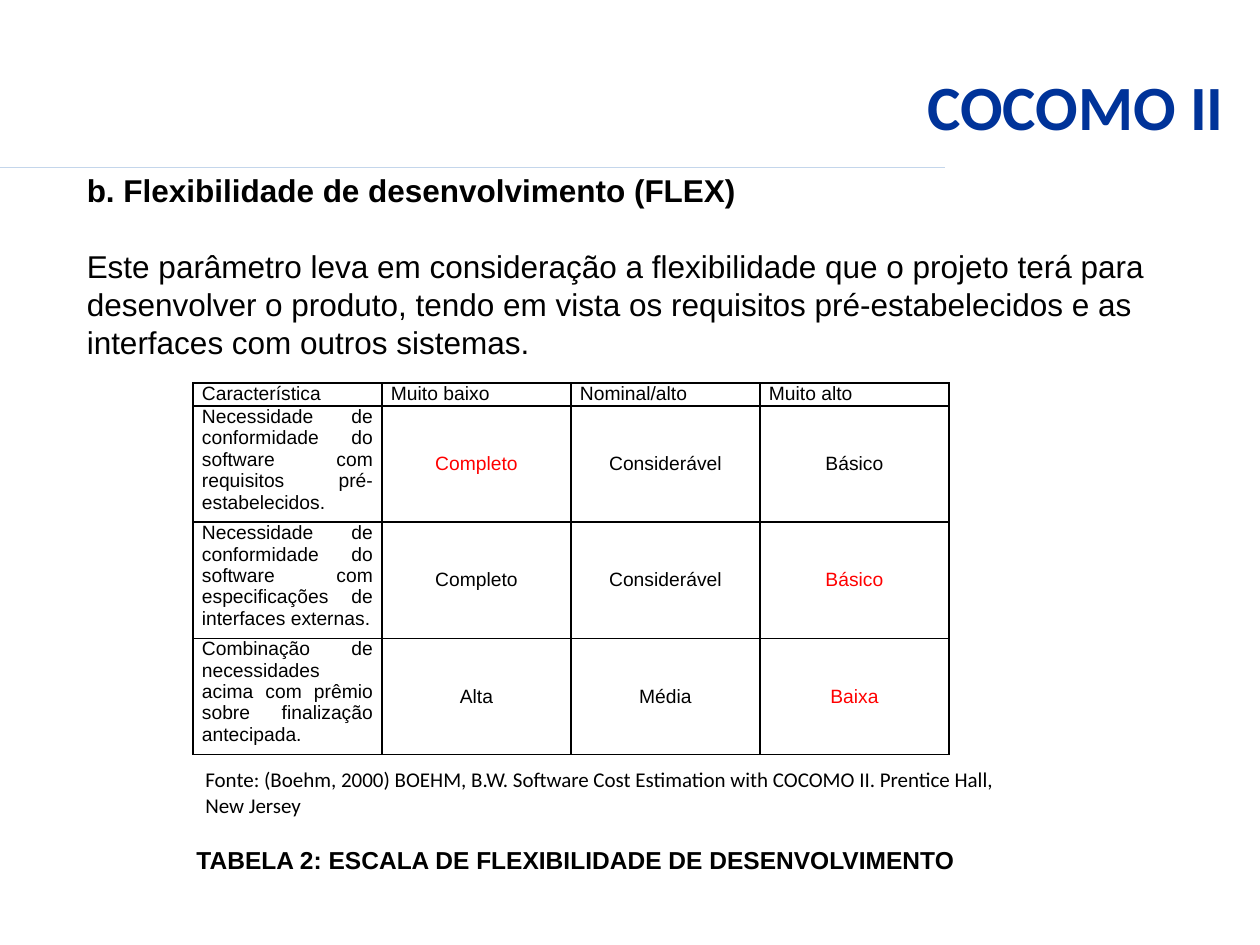
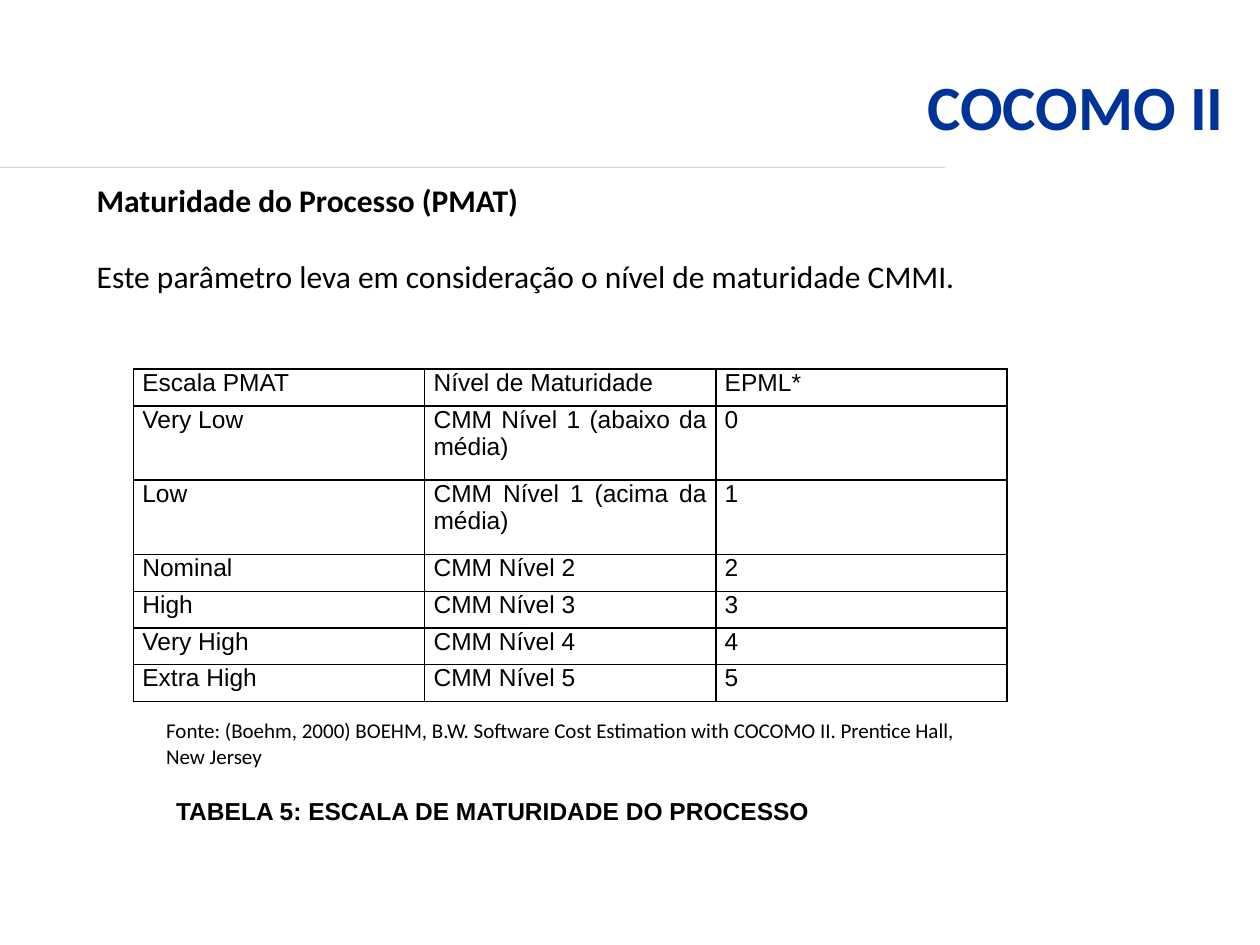
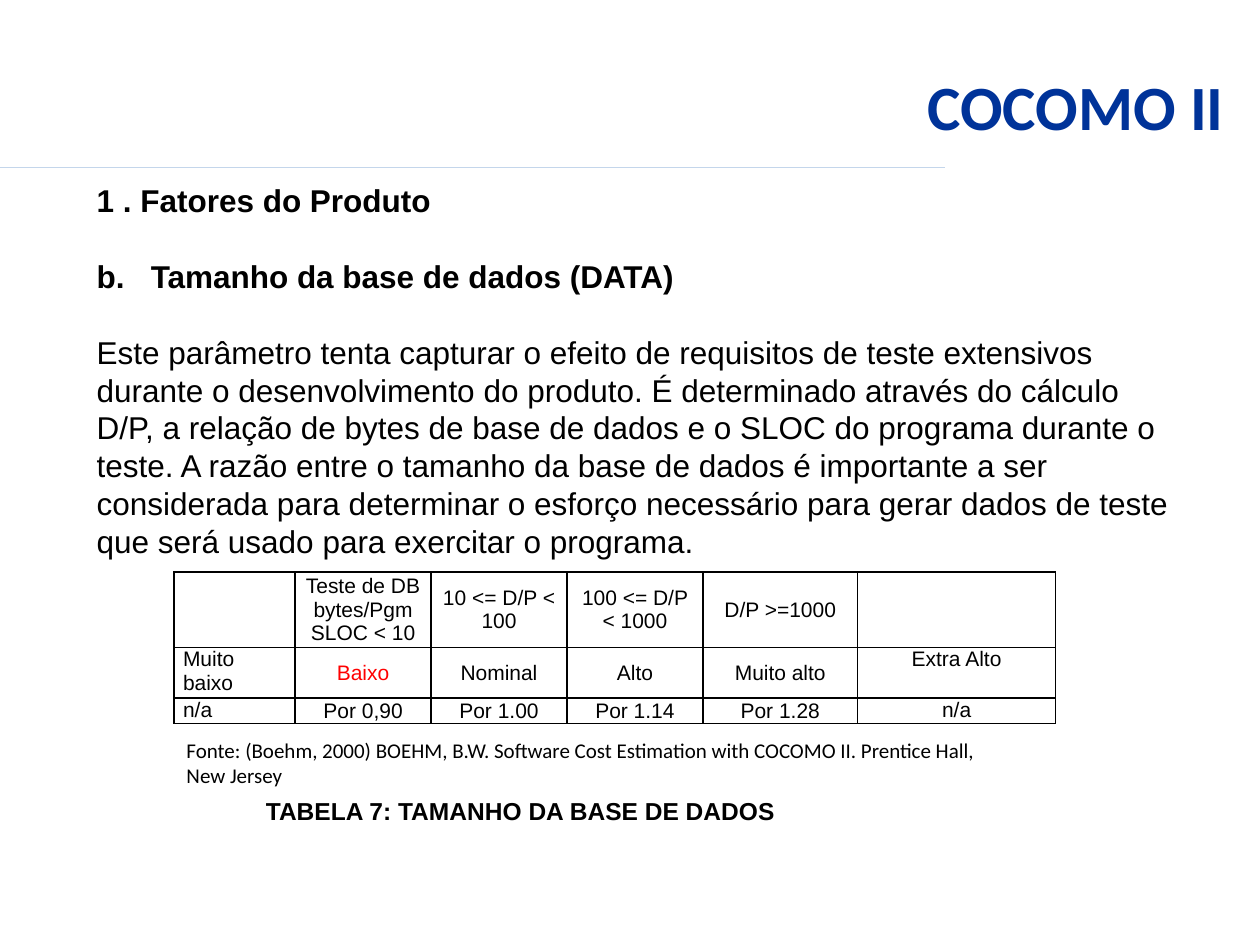
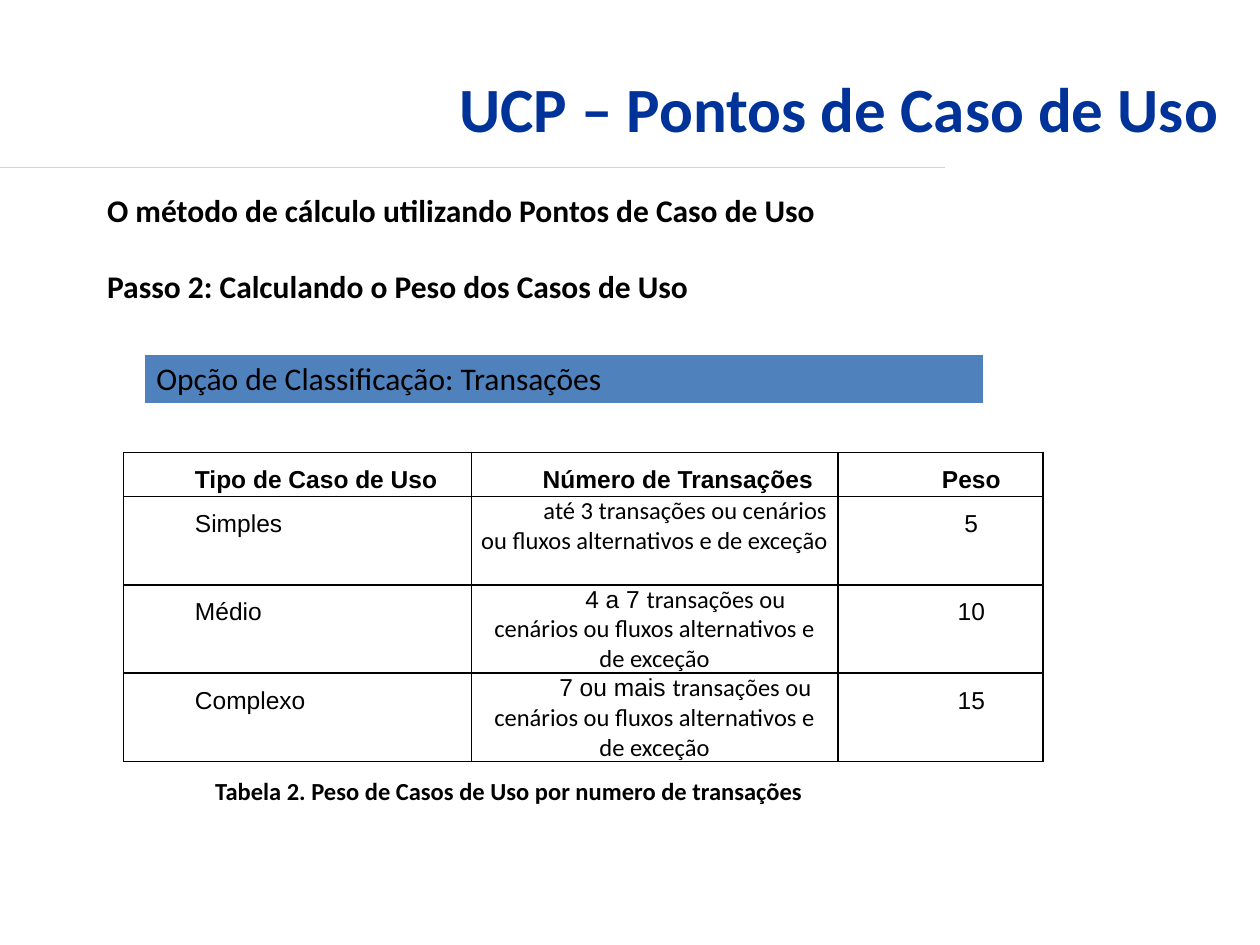
from dataclasses import dataclass
from typing import Optional

import lxml.etree
import pptx
import pptx.dml.color
import pptx.enum.shapes
import pptx.enum.text
import pptx.oxml
import pptx.oxml.ns
import pptx.util

Cm = pptx.util.Cm
Pt = pptx.util.Pt
Align = pptx.enum.text.PP_ALIGN
Anchor = pptx.enum.text.MSO_ANCHOR


@dataclass(frozen=True)
class Theme:
    ink: str = "000000"
    title: str = "003399"
    rule: str = "C4D6EB"
    mark: str = "FF0000"
    band: str = "4F81BD"
    white: str = "FFFFFF"
    sans: str = "Arial"
    human: str = "Calibri"
    title_size: float = 36
    body_size: float = 18
    caption_size: float = 14
    source_size: float = 12
    gap: float = 21.7


THEME = Theme()


@dataclass(frozen=True)
class Area:
    left: float
    top: float
    width: float
    height: float


@dataclass(frozen=True)
class Span:
    text: str
    font: str


@dataclass(frozen=True)
class Para:
    text: str
    size: float
    font: str = THEME.sans
    bold: bool = False
    color: str = THEME.ink
    align: Align = Align.LEFT
    before: float = 0
    hanging: float = 0
    first_indent: float = 0
    line_spacing: Optional[float] = None
    spans: tuple[Span, ...] = ()


@dataclass(frozen=True)
class Cell:
    para: Para
    anchor: Anchor = Anchor.TOP
    fill: Optional[str] = None


@dataclass(frozen=True)
class Border:
    color: str
    width: float


@dataclass(frozen=True)
class Grid:
    left: float
    top: float
    columns: list[float]
    rows: list[float]
    cells: list[list[Cell]]
    inset: tuple[float, float] = (0.18, 0)
    borders: tuple[Border, ...] = (Border(THEME.ink, 1),) * 4


TITLE_AREA = Area(1.7, 0.53, 23.22, 3.18)
SOURCE = ("Fonte: (Boehm, 2000) BOEHM, B.W. Software Cost Estimation with "
          "COCOMO II. Prentice Hall, New Jersey")


def rgb(color: str) -> pptx.dml.color.RGBColor:
    return pptx.dml.color.RGBColor.from_string(color)


def write_para(paragraph, para: Para) -> None:
    paragraph.alignment = para.align
    if para.before:
        paragraph.space_before = Pt(para.before)
    if para.line_spacing:
        paragraph.line_spacing = para.line_spacing
    properties = paragraph._p.get_or_add_pPr()
    if para.hanging:
        properties.set("marL", str(Cm(para.hanging)))
        properties.set("indent", str(-Cm(para.hanging)))
    if para.first_indent:
        properties.set("indent", str(Cm(para.first_indent)))
    font = paragraph.font
    font.size = Pt(para.size)
    font.bold = para.bold
    font.color.rgb = rgb(para.color)
    if para.spans:
        for span in para.spans:
            run = paragraph.add_run()
            run.text = span.text
            run.font.name = span.font
    else:
        font.name = para.font
        if para.text:
            paragraph.add_run().text = para.text


def add_text(page, area: Area, paras: list[Para], anchor: Anchor = Anchor.TOP,
             wrap: bool = True) -> None:
    box = page.shapes.add_textbox(Cm(area.left), Cm(area.top), Cm(area.width), Cm(area.height))
    frame = box.text_frame
    frame.word_wrap = wrap
    frame.vertical_anchor = anchor
    for index, para in enumerate(paras):
        write_para(frame.add_paragraph() if index else frame.paragraphs[0], para)


def add_borders(cell, borders: tuple[Border, ...]) -> None:
    properties = cell._tc.get_or_add_tcPr()
    qn = pptx.oxml.ns.qn
    for side, border in zip("LRTB", borders):
        line = lxml.etree.SubElement(properties, qn(f"a:ln{side}"), w=str(Pt(border.width)))
        fill = lxml.etree.SubElement(line, qn("a:solidFill"))
        lxml.etree.SubElement(fill, qn("a:srgbClr"), val=border.color)


def add_grid(page, grid: Grid) -> None:
    table = page.shapes.add_table(
        len(grid.rows), len(grid.columns), Cm(grid.left), Cm(grid.top),
        Cm(sum(grid.columns)), Cm(sum(grid.rows))).table
    table.first_row = False
    table.horz_banding = False
    for column, width in zip(table.columns, grid.columns):
        column.width = Cm(width)
    for row, height in zip(table.rows, grid.rows):
        row.height = Cm(height)
    side, end = grid.inset
    for row_index, row_cells in enumerate(grid.cells):
        for column_index, content in enumerate(row_cells):
            cell = table.cell(row_index, column_index)
            cell.margin_left = cell.margin_right = Cm(side)
            cell.margin_top = cell.margin_bottom = Cm(end)
            cell.vertical_anchor = content.anchor
            add_borders(cell, grid.borders)
            if content.fill:
                cell.fill.solid()
                cell.fill.fore_color.rgb = rgb(content.fill)
            else:
                cell.fill.background()
            write_para(cell.text_frame.paragraphs[0], content.para)


def add_page(deck, title: str, title_area: Area = TITLE_AREA):
    page = deck.slides.add_slide(deck.slide_layouts[6])
    rule = page.shapes.add_connector(
        pptx.enum.shapes.MSO_CONNECTOR.STRAIGHT, Cm(0), Cm(3.38), Cm(19.05), Cm(3.38))
    rule.line.color.rgb = rgb(THEME.rule)
    rule.line.width = Pt(0.75)
    lxml.etree.SubElement(rule._element.spPr, pptx.oxml.ns.qn("a:effectLst"))
    heading = Para(title, THEME.title_size, THEME.human, True, THEME.title, Align.RIGHT)
    add_text(page, title_area, [heading], Anchor.MIDDLE)
    return page


def add_body(page, area: Area, paras: list[Para]) -> None:
    add_text(page, area, paras)


def add_caption(page, area: Area, text: str, font: str = THEME.sans, wrap: bool = True) -> None:
    add_text(page, area, [Para(text, THEME.caption_size, font, True)], wrap=wrap)


def add_source(page, left: float, top: float) -> None:
    add_text(page, Area(left, top, 16.79, 1.3),
             [Para(SOURCE, THEME.source_size, THEME.human)], Anchor.MIDDLE)


def body(text: str, font: str = THEME.sans, bold: bool = False, before: float = 0,
         hanging: float = 0) -> Para:
    return Para(text, THEME.body_size, font, bold, before=before, hanging=hanging)


def label(text: str, size: float) -> Cell:
    return Cell(Para(text, size, align=Align.JUSTIFY))


def value(text: str, size: float, marked: bool = False, anchor: Anchor = Anchor.MIDDLE) -> Cell:
    color = THEME.mark if marked else THEME.ink
    return Cell(Para(text, size, color=color, align=Align.CENTER), anchor)


def indented(text: str, bold: bool = False, align: Align = Align.LEFT) -> Cell:
    return Cell(Para(text, THEME.caption_size, bold=bold, align=align,
                     first_indent=1.24, line_spacing=1.5))


def transactions(amount: str, amount_font: str = THEME.sans) -> Cell:
    spans = (Span(f"{amount} ", amount_font),
             Span("transações ou cenários ou fluxos alternativos e de exceção", THEME.human))
    return Cell(Para("", THEME.caption_size, align=Align.CENTER, first_indent=1.24, spans=spans))


def flexibility_page(deck) -> None:
    page = add_page(deck, "COCOMO II")
    add_body(page, Area(1.5, 3.33, 22.4, 5.64), [
        body("b. Flexibilidade de desenvolvimento (FLEX)", bold=True),
        body("Este parâmetro leva em consideração a flexibilidade que o projeto terá para "
             "desenvolver o produto, tendo em vista os requisitos pré-estabelecidos e as "
             "interfaces com outros sistemas.", before=THEME.gap),
    ])
    size = 11
    headers = ["Característica", "Muito baixo", "Nominal/alto", "Muito alto"]
    scales = [
        ("Necessidade de conformidade do software com requisitos pré-estabelecidos.",
         ["Completo", "Considerável", "Básico"], 0),
        ("Necessidade de conformidade do software com especificações de interfaces externas.",
         ["Completo", "Considerável", "Básico"], 2),
        ("Combinação de necessidades acima com prêmio sobre finalização antecipada.",
         ["Alta", "Média", "Baixa"], 2),
    ]
    cells = [[label(header, size) for header in headers]]
    for need, levels, marked in scales:
        cells.append([label(need, size)] + [
            value(level, size, index == marked) for index, level in enumerate(levels)])
    add_grid(page, Grid(3.89, 7.72, [3.81] * 4, [0.46] + [2.34] * 3, cells))
    add_source(page, 3.89, 15.32)
    add_caption(page, Area(3.71, 16.92, 16.05, 0.86),
                "TABELA 2: ESCALA DE FLEXIBILIDADE DE DESENVOLVIMENTO", wrap=False)


def maturity_page(deck) -> None:
    page = add_page(deck, "COCOMO II")
    add_body(page, Area(1.7, 3.53, 22.4, 2.57), [
        body("Maturidade do Processo (PMAT)", THEME.human, True),
        body("Este parâmetro leva em consideração o nível de maturidade CMMI.",
             THEME.human, before=THEME.gap),
    ])
    levels = [
        ("Escala PMAT", "Nível de Maturidade", "EPML*"),
        ("Very Low", "CMM Nível 1 (abaixo da média)", "0"),
        ("Low", "CMM Nível 1 (acima da média)", "1"),
        ("Nominal", "CMM Nível 2", "2"),
        ("High", "CMM Nível 3", "3"),
        ("Very High", "CMM Nível 4", "4"),
        ("Extra High", "CMM Nível 5", "5"),
    ]
    cells = [[label(text, THEME.caption_size) for text in level] for level in levels]
    heights = [0.74] + [1.5] * 2 + [0.74] * 4
    add_grid(page, Grid(2.69, 7.44, [5.87] * 3, heights, cells))
    add_source(page, 3.1, 14.33)
    add_caption(page, Area(3.3, 15.93, 16.31, 0.86),
                "TABELA 5: ESCALA DE MATURIDADE DO PROCESSO")


def database_page(deck) -> None:
    page = add_page(deck, "COCOMO II")
    add_body(page, Area(1.7, 3.53, 22.4, 9.5), [
        body("1 . Fatores do Produto", bold=True),
        body("b.\tTamanho da base de dados (DATA)", bold=True, before=THEME.gap, hanging=1.09),
        body("Este parâmetro tenta capturar o efeito de requisitos de teste extensivos durante "
             "o desenvolvimento do produto. É determinado através do cálculo D/P, a relação de "
             "bytes de base de dados e o SLOC do programa durante o teste. A razão entre o "
             "tamanho da base de dados é importante a ser considerada para determinar o esforço "
             "necessário para gerar dados de teste que será usado para exercitar o programa.",
             before=THEME.gap),
    ])
    size = 12
    ratings = [
        ["", "Teste de DB bytes/Pgm SLOC < 10", "10 <= D/P < 100", "100 <= D/P < 1000",
         "D/P >=1000", ""],
        ["Muito baixo", "Baixo", "Nominal", "Alto", "Muito alto", "Extra Alto"],
        ["n/a", "Por 0,90", "Por 1.00", "Por 1.14", "Por 1.28", "n/a"],
    ]
    cells = [
        [label(first, size)]
        + [value(text, size, text == "Baixo") for text in middle]
        + [value(last, size, anchor=Anchor.TOP)]
        for first, *middle, last in ratings
    ]
    add_grid(page, Grid(3.51, 11.53, [2.44, 2.74, 2.74, 2.74, 3.12, 3.99],
                        [1.52, 1.02, 0.51], cells))
    add_source(page, 3.51, 14.73)
    add_caption(page, Area(5.11, 15.93, 14.61, 0.86), "TABELA 7: TAMANHO DA BASE DE DADOS")


def use_case_page(deck) -> None:
    page = add_page(deck, "UCP – Pontos de Caso de Uso ", Area(1.6, 1.27, 23.5, 1.8))
    add_body(page, Area(1.91, 3.73, 22.4, 5.64), [
        body("O método de cálculo utilizando Pontos de Caso de Uso", THEME.human, True),
        body("Passo 2: Calculando o Peso dos Casos de Uso", THEME.human, True, THEME.gap),
    ])
    band = Cell(body("Opção de Classificação: Transações", THEME.human), fill=THEME.band)
    edge = Border(THEME.white, 1)
    add_grid(page, Grid(2.9, 7.14, [16.94], [1.02], [[band]], (0.25, 0.13),
                        (edge, edge, edge, Border(THEME.white, 3))))
    cells = [[indented("Tipo de Caso de Uso", True),
              indented("Número de Transações", True),
              indented("Peso", True, Align.CENTER)]]
    for kind, amount, font, weight in [
        ("Simples", "até 3", THEME.human, "5"),
        ("Médio", "4 a 7", THEME.sans, "10"),
        ("Complexo", "7 ou mais", THEME.sans, "15"),
    ]:
        cells.append([indented(kind), transactions(amount, font),
                      indented(weight, align=Align.CENTER)])
    add_grid(page, Grid(2.49, 9.12, [7.01, 7.39, 4.14], [0.89] + [1.78] * 3, cells, (0.2, 0)))
    add_caption(page, Area(4.09, 15.52, 14.45, 1.45),
                "Tabela 2. Peso de Casos de Uso por numero de transações", THEME.human, False)


def main() -> None:
    deck = pptx.Presentation()
    deck.slide_width = Cm(25.4)
    deck.slide_height = Cm(19.05)
    for build_page in (flexibility_page, maturity_page, database_page, use_case_page):
        build_page(deck)
    deck.save("out.pptx")


if __name__ == "__main__":
    main()
